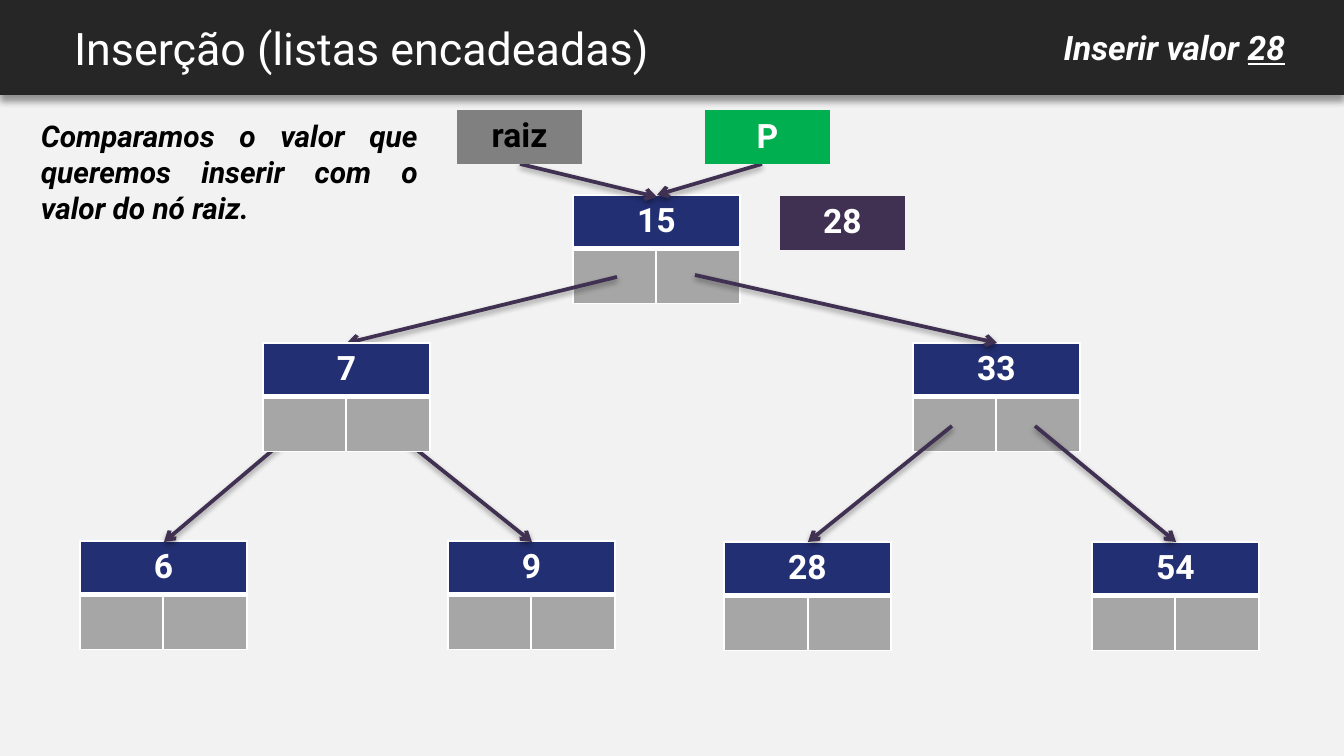
import pptx
import pptx.util
import pptx.dml.color
import pptx.enum.shapes
import pptx.enum.text
import pptx.oxml
import pptx.oxml.ns

PX = 914400 / 134.4
NS = pptx.oxml.ns.nsdecls("a")
ALIGN = pptx.enum.text.PP_ALIGN
MIDDLE = pptx.enum.text.MSO_ANCHOR.MIDDLE
NO_STYLE = "{2D5ABB26-0587-4C30-8999-92F81FD0307C}"
NAVY, GRAY, PLUM, WHITE = "232F73", "A6A6A6", "403152", "FFFFFF"


def px(*values):
    return [pptx.util.Emu(round(v * PX)) for v in values]


def color(hex_value):
    return pptx.dml.color.RGBColor.from_string(hex_value)


prs = pptx.Presentation()
prs.slide_width, prs.slide_height = px(1344, 756)
s = prs.slides.add_slide(prs.slide_layouts[6])
s.background.fill.solid()
s.background.fill.fore_color.rgb = color("F2F2F2")

# Tables: x, y, column widths, label, label fill, label color
HALVES = [83, 84]
nodes = [
    (573, 195, HALVES, "15", NAVY, WHITE),
    (913, 343, HALVES, "33", NAVY, WHITE),
    (80, 541, HALVES, "6", NAVY, WHITE),
    (448, 541, HALVES, "9", NAVY, WHITE),
    (724, 542, [83, 1, 83], "28", NAVY, WHITE),
    (1092, 542, HALVES, "54", NAVY, WHITE),
]
# Node 7 covers the start of its arrows
front_tables = [
    (263, 343, HALVES, "7", NAVY, WHITE),
    (457, 110, [125], "raiz", "808080", "000000"),
    (705, 110, [125], "P", "00B050", WHITE),
    (780, 196, [125], "28", PLUM, WHITE),
]
# Arrows: from x, from y, to x, to y
arrows = [
    (520, 164, 657, 197),
    (762, 164, 657, 195),
    (617, 277, 347, 343),
    (695, 275, 997, 343),
    (306, 422, 164, 542),
    (382, 422, 532, 542),
    (952, 426, 808, 542),
    (1035, 426, 1176, 542),
]
shadow = ('<a:effectLst %s><a:outerShdw blurRad="%d" dist="%d" dir="5400000" rotWithShape="0">'
          '<a:srgbClr val="000000"><a:alpha val="%d"/></a:srgbClr></a:outerShdw></a:effectLst>')

for layer in (nodes, arrows, front_tables):
    for item in layer:
        if layer is arrows:
            c = s.shapes.add_connector(pptx.enum.shapes.MSO_CONNECTOR.STRAIGHT, *px(*item))
            c.line.width = pptx.util.Pt(2)
            c.line.color.rgb = color(PLUM)
            spPr = c._element.spPr
            spPr.find(pptx.oxml.ns.qn("a:ln")).append(
                pptx.oxml.parse_xml('<a:tailEnd %s type="arrow"/>' % NS))
            spPr.append(pptx.oxml.parse_xml(shadow % (NS, 40000, 20000, 38000)))
            continue

        x, y, widths, label, fill, text_color = item
        is_node = len(widths) > 1
        rows = 2 if is_node else 1
        frame = s.shapes.add_table(rows, len(widths), *px(x, y, sum(widths), 54 * rows))
        tbl = frame.table
        tbl.first_row = tbl.horz_banding = False
        tbl._tbl.tblPr.find(pptx.oxml.ns.qn("a:tableStyleId")).text = NO_STYLE
        for col, width in zip(tbl.columns, widths):
            col.width = px(width)[0]
        for i in range(rows):
            for j in range(len(widths)):
                cell = tbl.cell(i, j)
                if is_node:
                    tcPr = cell._tc.get_or_add_tcPr()
                    for side in "LRTB":
                        thick = (i, side) in ((0, "B"), (1, "T"))
                        tcPr.append(pptx.oxml.parse_xml(
                            '<a:ln%s %s w="%d"><a:solidFill><a:srgbClr val="%s"/></a:solidFill></a:ln%s>'
                            % (side, NS, 38100 if thick else 12700, WHITE, side)))
                cell.fill.solid()
                cell.fill.fore_color.rgb = color(GRAY if i else fill)
        head = tbl.cell(0, 0)
        if is_node:
            head.merge(tbl.cell(0, len(widths) - 1))
        if len(widths) == 3:
            tbl.cell(1, 0).merge(tbl.cell(1, 1))
        if label == "P":
            head.vertical_anchor = MIDDLE
        p = head.text_frame.paragraphs[0]
        p.text = label
        p.alignment = ALIGN.CENTER
        f = p.runs[0].font
        f.name, f.size, f.bold = "Roboto", pptx.util.Pt(18), True
        f.color.rgb = color(text_color)

# Header bar
sp = s.shapes.add_shape(pptx.enum.shapes.MSO_SHAPE.RECTANGLE, *px(0, 0, 1344, 95))
sp.fill.solid()
sp.fill.fore_color.rgb = color("262626")
sp.line.fill.background()
sp._element.spPr.append(pptx.oxml.parse_xml(shadow % (NS, 50800, 38100, 40000)))

# Texts: box, runs, size, color, alignment, emphasis, vertical inset
texts = [
    ((61, 0, 1216, 95), ["Inserção (listas encadeadas)"], 24, WHITE, ALIGN.LEFT, False, 13),
    ((28, 124, 403, 95), ["Comparamos o valor que queremos inserir com o valor do nó raiz."],
     16, "000000", ALIGN.JUSTIFY, True, 13),
    ((947, 20, 351, 54), ["Inserir valor ", "28"], 18, WHITE, ALIGN.RIGHT, True, 7),
]
for box, runs, size, text_color, align, strong, inset in texts:
    tf = s.shapes.add_textbox(*px(*box)).text_frame
    tf.word_wrap = True
    tf.vertical_anchor = MIDDLE
    tf.margin_left, tf.margin_right, tf.margin_top, tf.margin_bottom = px(13, 13, inset, inset)
    p = tf.paragraphs[0]
    p.alignment = align
    for k, text in enumerate(runs):
        r = p.add_run()
        r.text = text
        f = r.font
        f.name, f.size, f.bold, f.italic = "Roboto", pptx.util.Pt(size), strong, strong
        f.underline = k == 1
        f.color.rgb = color(text_color)

prs.save("out.pptx")
